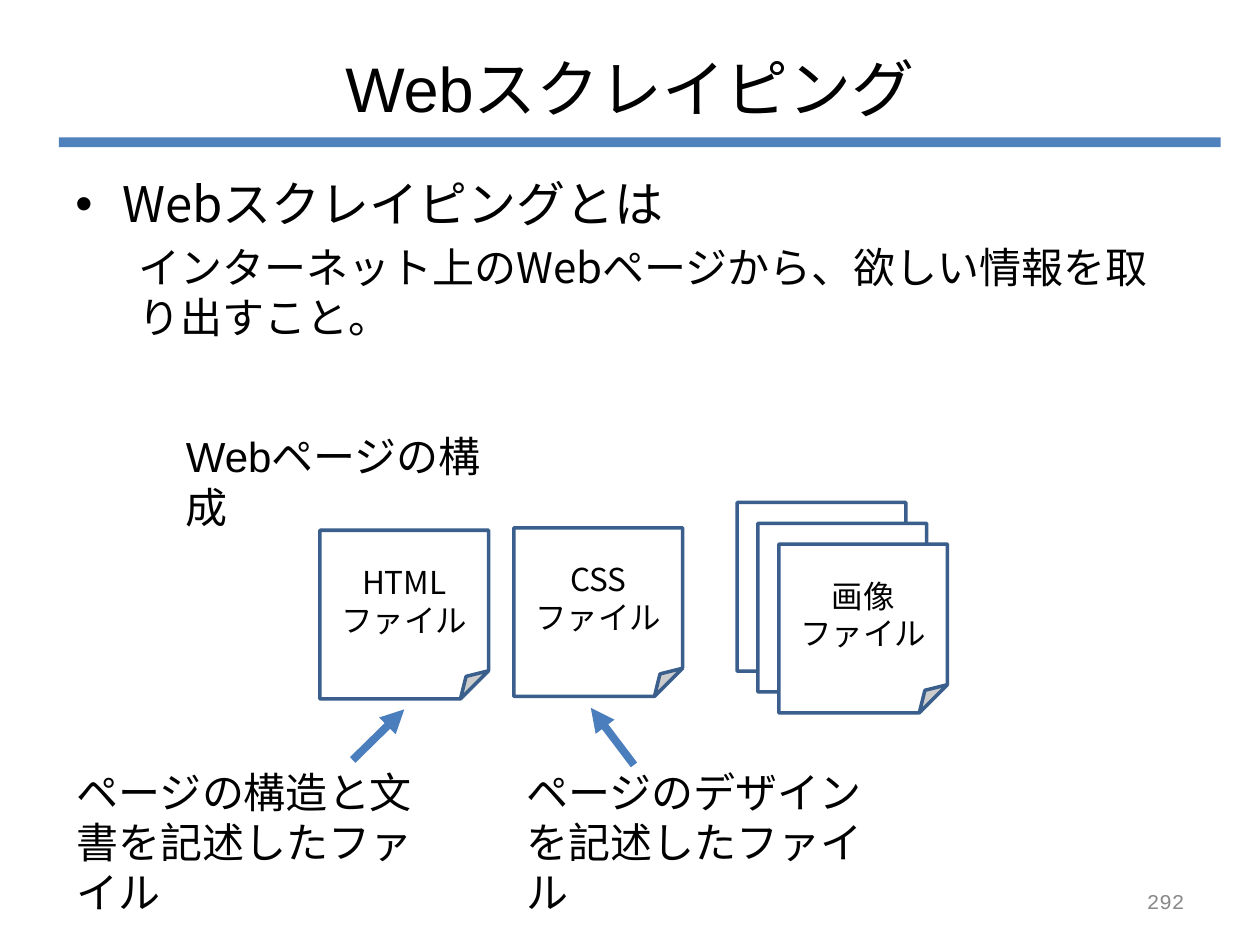
import pptx
import pptx.dml.color
import pptx.enum.shapes
import pptx.enum.text
import pptx.oxml
import pptx.oxml.ns
import pptx.util
from lxml import etree

Cm = pptx.util.Cm
Pt = pptx.util.Pt
RGBColor = pptx.dml.color.RGBColor
SHAPE = pptx.enum.shapes.MSO_SHAPE
ALIGN = pptx.enum.text.PP_ALIGN
ANCHOR = pptx.enum.text.MSO_ANCHOR
qn = pptx.oxml.ns.qn

BLACK = RGBColor(0x00, 0x00, 0x00)
WHITE = RGBColor(0xFF, 0xFF, 0xFF)
GREY = RGBColor(0x89, 0x89, 0x89)
RULE_BLUE = RGBColor(0x4F, 0x81, 0xBD)
ARROW_BLUE = RGBColor(0x4B, 0x7E, 0xBC)
OUTLINE_BLUE = RGBColor(0x3A, 0x5F, 0x8C)
LATIN_FONT = "Arial"
JAPANESE_FONT = "Noto Sans CJK JP"
NUMBER_FONT = "Courier New"


def style_paragraph(paragraph, size, font_name=LATIN_FONT, color=BLACK, alignment=ALIGN.LEFT):
    """Set alignment and font of a whole paragraph."""
    paragraph.alignment = alignment
    paragraph.font.size = Pt(size)
    paragraph.font.name = font_name
    paragraph.font.color.rgb = color


def add_text(slide, box, text, size=24, **style):
    """Add a wrapping one-paragraph text box and return its frame."""
    frame = slide.shapes.add_textbox(*map(Cm, box)).text_frame
    frame.word_wrap = True
    frame.text = text
    style_paragraph(frame.paragraphs[0], size, **style)
    return frame


def add_title(slide, box, text):
    """Place the title in the box with a rule along its lower edge."""
    left, top, width, height = box
    title = slide.shapes.title
    title.left, title.top, title.width, title.height = map(Cm, box)
    title.text_frame.text = text
    title.text_frame.vertical_anchor = ANCHOR.MIDDLE
    style_paragraph(title.text_frame.paragraphs[0], 36, alignment=ALIGN.CENTER)
    rule = slide.shapes.add_shape(
        SHAPE.RECTANGLE, Cm(left - 0.08), Cm(top + height), Cm(width + 0.56), Cm(0.2))
    rule.shadow.inherit = False
    rule.fill.solid()
    rule.fill.fore_color.rgb = RULE_BLUE
    rule.line.fill.background()


def add_definition(slide, box, term, meaning):
    """Write a bulleted term and its indented meaning."""
    frame = add_text(slide, box, term, 28, font_name=JAPANESE_FONT)
    properties = frame.paragraphs[0]._p.get_or_add_pPr()
    properties.set("marL", str(Cm(0.95)))
    properties.set("indent", str(-Cm(0.95)))
    bullet_font = etree.Element(qn("a:buFont"), typeface=LATIN_FONT)
    bullet = etree.Element(qn("a:buChar"), char="•")
    properties.insert(0, bullet_font)
    properties.insert(1, bullet)
    paragraph = frame.add_paragraph()
    paragraph.text = meaning
    paragraph._p.get_or_add_pPr().set("marL", str(Cm(1.27)))
    paragraph.space_before = Pt(4.8)
    style_paragraph(paragraph, 24, JAPANESE_FONT)


def add_file(slide, box, label=""):
    """Draw one page with a folded corner and an optional label."""
    page = slide.shapes.add_shape(SHAPE.FOLDED_CORNER, *map(Cm, box))
    page.shadow.inherit = False
    page.fill.solid()
    page.fill.fore_color.rgb = WHITE
    page.line.color.rgb = OUTLINE_BLUE
    page.line.width = Pt(2)
    if label:
        page.text_frame.text = label
        page.text_frame.vertical_anchor = ANCHOR.MIDDLE
        for paragraph in page.text_frame.paragraphs:
            style_paragraph(paragraph, 18, JAPANESE_FONT, alignment=ALIGN.CENTER)


def add_file_stack(slide, box, label, count=3, step=0.42):
    """Draw overlapping pages that fill the box, labelling the front one."""
    left, top, width, height = box
    spread = step * (count - 1)
    for index in range(count):
        offset = step * index
        page_box = (left + offset, top + offset, width - spread, height - spread)
        add_file(slide, page_box, label if index == count - 1 else "")


def add_arrow(slide, start, end):
    """Draw a thick arrow between two points."""
    arrow = slide.shapes.add_connector(
        pptx.enum.shapes.MSO_CONNECTOR.STRAIGHT, *map(Cm, start + end))
    arrow.line.color.rgb = ARROW_BLUE
    arrow.line.width = Pt(4.5)
    etree.SubElement(arrow.line._get_or_add_ln(), qn("a:tailEnd"), type="triangle")
    etree.SubElement(arrow._element.spPr, qn("a:effectLst"))


def add_structure(slide, box):
    """Show the files that make up a page, with captions below."""
    left, top, _, _ = box
    side = 3.4
    add_text(slide, (left + 2.2, top, 7.21, 1.27), "Webページの構成")
    add_file(slide, (left + 5.15, top + 2.13, side, side), "HTML\vファイル")
    add_file(slide, (left + 9.06, top + 2.08, side, side), "CSS\vファイル")
    add_file_stack(slide, (left + 13.56, top + 1.57, 4.24, 4.24), "画像\nファイル")
    captions = (
        (0, "ページの構造と文書を記述したファイル"),
        (9.06, "ページのデザインを記述したファイル"),
    )
    for offset, caption in captions:
        add_text(slide, (left + offset, top + 6.76, 7.77, 2.31), caption)
    add_arrow(slide, (left + 5.81, top + 6.76), (left + 6.85, top + 5.74))
    add_arrow(slide, (left + 11.48, top + 6.86), (left + 10.61, top + 5.71))


def add_page_number(slide, box, number):
    """Write the page number at the right of the box."""
    frame = add_text(slide, box, number, 12, font_name=NUMBER_FONT,
                     color=GREY, alignment=ALIGN.RIGHT)
    frame.vertical_anchor = ANCHOR.MIDDLE


def main():
    """Build and save the slide."""
    presentation = pptx.Presentation()
    presentation.slide_width = Cm(25.4)
    presentation.slide_height = Cm(19.05)
    slide = presentation.slides.add_slide(presentation.slide_layouts[5])
    add_title(slide, (1.27, 0.76, 22.86, 2.01), "Webスクレイピング")
    add_definition(slide, (1.27, 3.38, 22.86, 3.96), "Webスクレイピングとは",
                   "インターネット上のWebページから、欲しい情報を取り出すこと。")
    add_structure(slide, (1.3, 8.56, 17.8, 9.07))
    add_page_number(slide, (18.21, 17.65, 5.92, 1.02), "292")
    presentation.save("out.pptx")


if __name__ == "__main__":
    main()
